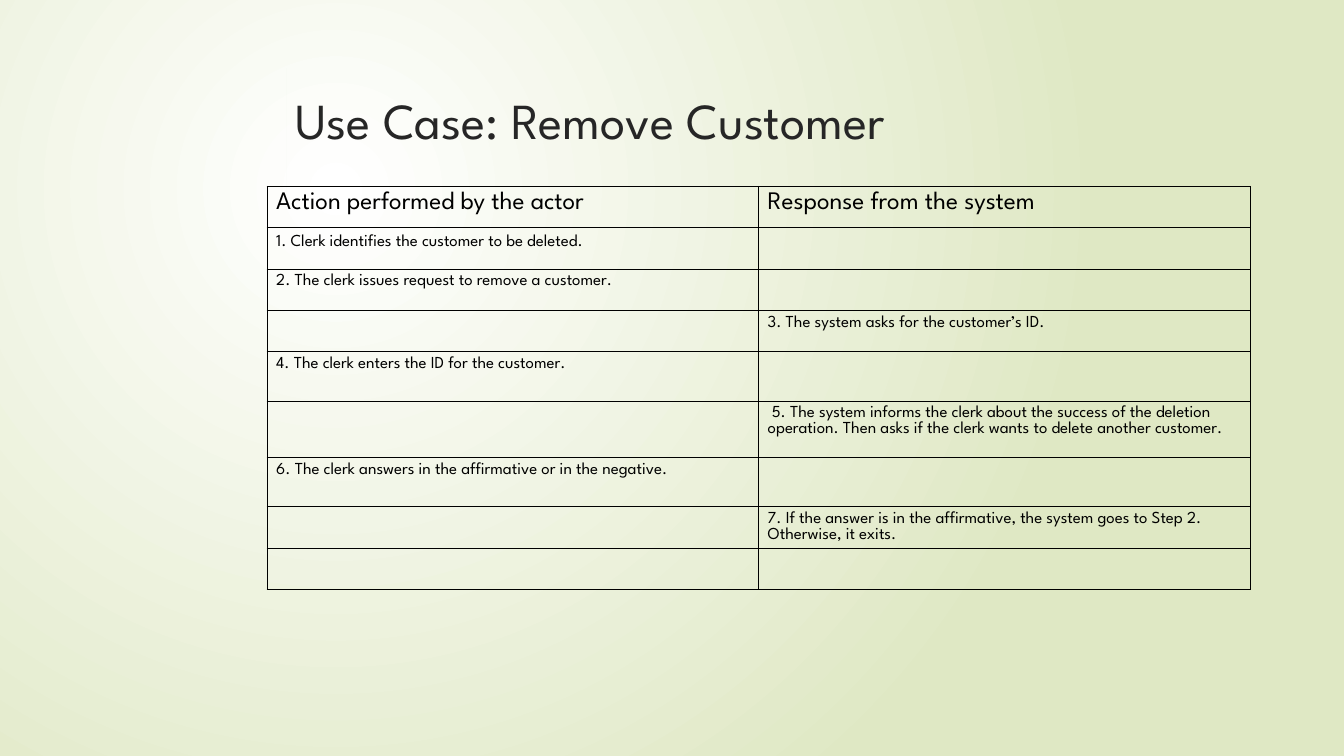
"""Build the use case slide for removing a customer."""
import pptx
import pptx.util
import pptx.dml.color
import pptx.enum.text
import pptx.oxml
import pptx.oxml.ns
from pptx.util import Inches

RGBColor = pptx.dml.color.RGBColor
BLACK = RGBColor(0x00, 0x00, 0x00)
DARK = RGBColor(0x26, 0x26, 0x26)
WHITE = RGBColor(0xFF, 0xFF, 0xFF)
GREEN = RGBColor(0xDF, 0xE8, 0xC4)
FONT = "League Spartan"

HEADS = ("Action performed by the actor", "Response from the system")
STEPS = (
    ("1. Clerk identifies the customer to be deleted.", ""),
    ("2. The clerk issues request to remove a customer.", ""),
    ("", "3. The system asks for the customer’s ID."),
    ("4. The clerk enters the ID for the customer.", ""),
    ("", " 5. The system informs the clerk about the success of the deletion "
         "operation. Then asks if the clerk wants to delete another customer."),
    ("6. The clerk answers in the affirmative or in the negative.", ""),
    ("", "7. If the answer is in the affirmative, the system goes to Step 2. "
         "Otherwise, it exits."),
    ("", ""),
)
HEIGHTS = (0.41, 0.41, 0.41, 0.41, 0.49, 0.56, 0.49, 0.41, 0.41)


def add_run(para, text, size, color):
    run = para.add_run()
    run.text = text
    run.font.name = FONT
    run.font.size = pptx.util.Pt(size)
    run.font.color.rgb = color


def set_back(slide):
    fill = slide.background.fill
    fill.gradient()
    for stop, color, place in zip(fill.gradient_stops, (WHITE, GREEN), (0, 1)):
        stop.color.rgb = color
        stop.position = place
    grad = slide.element.find(".//" + pptx.oxml.ns.qn("a:gradFill"))
    grad.replace(grad.find(pptx.oxml.ns.qn("a:lin")), pptx.oxml.parse_xml(
        f'<a:path {pptx.oxml.ns.nsdecls("a")} path="circle"><a:fillToRect '
        'l="50000" t="50000" r="100000" b="100000"/></a:path>'))


def set_title(slide, text):
    title = slide.shapes.title
    title.left, title.top = Inches(2.84), Inches(0.68)
    title.width, title.height = Inches(9.75), Inches(1.4)
    title.element.set("useBgFill", "1")
    frame = title.text_frame
    frame.word_wrap = True
    frame.auto_size = pptx.enum.text.MSO_AUTO_SIZE.NONE
    frame.vertical_anchor = pptx.enum.text.MSO_ANCHOR.TOP
    frame.margin_left = Inches(0.09)
    frame.margin_top = Inches(0.2)
    para = frame.paragraphs[0]
    para.alignment = pptx.enum.text.PP_ALIGN.LEFT
    add_run(para, text, 36, DARK)


def set_edges(cell):
    props = cell._tc.get_or_add_tcPr()
    for place, side in enumerate(("lnL", "lnR", "lnT", "lnB")):
        props.insert(place, pptx.oxml.parse_xml(
            f'<a:{side} {pptx.oxml.ns.nsdecls("a")} w="12700"><a:solidFill>'
            f'<a:srgbClr val="{BLACK}"/></a:solidFill></a:{side}>'))


def fill_cell(cell, text, size):
    cell.fill.background()
    cell.margin_left = cell.margin_right = Inches(0.09)
    cell.margin_top = cell.margin_bottom = Inches(0.05)
    set_edges(cell)
    if text:
        add_run(cell.text_frame.paragraphs[0], text, size, BLACK)


def add_steps(slide):
    rows = (HEADS,) + STEPS
    table = slide.shapes.add_table(
        len(rows), len(HEADS), Inches(2.65), Inches(1.85),
        Inches(9.75), Inches(sum(HEIGHTS))).table
    table.first_row = table.horz_banding = False
    for row, height in zip(table.rows, HEIGHTS):
        row.height = Inches(height)
    for i, texts in enumerate(rows):
        for j, text in enumerate(texts):
            fill_cell(table.cell(i, j), text, 12 if i else 18)
    table.cell(1, 0).text_frame.paragraphs[0].line_spacing = 1.15


def main():
    deck = pptx.Presentation()
    deck.slide_width, deck.slide_height = Inches(13.33), Inches(7.5)
    slide = deck.slides.add_slide(deck.slide_layouts[5])
    set_back(slide)
    set_title(slide, "Use Case: Remove Customer")
    add_steps(slide)
    deck.save("out.pptx")


if __name__ == "__main__":
    main()
